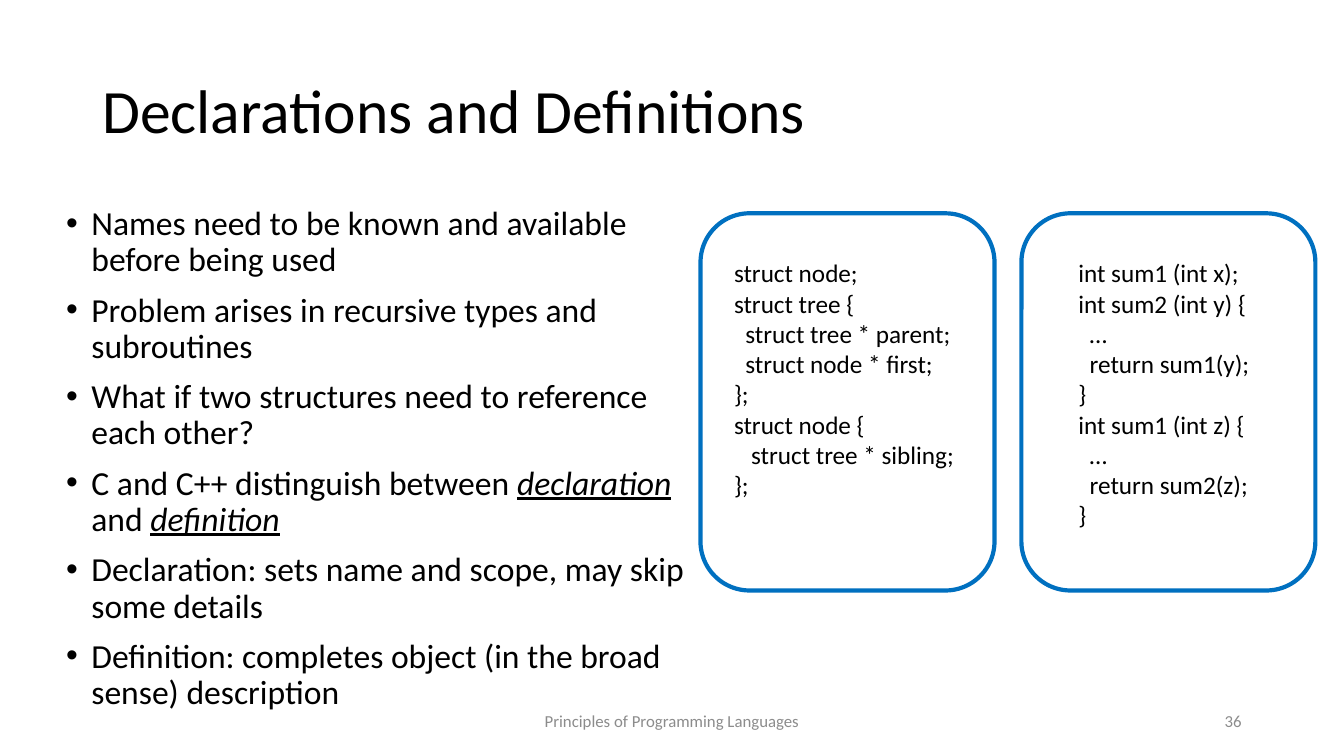
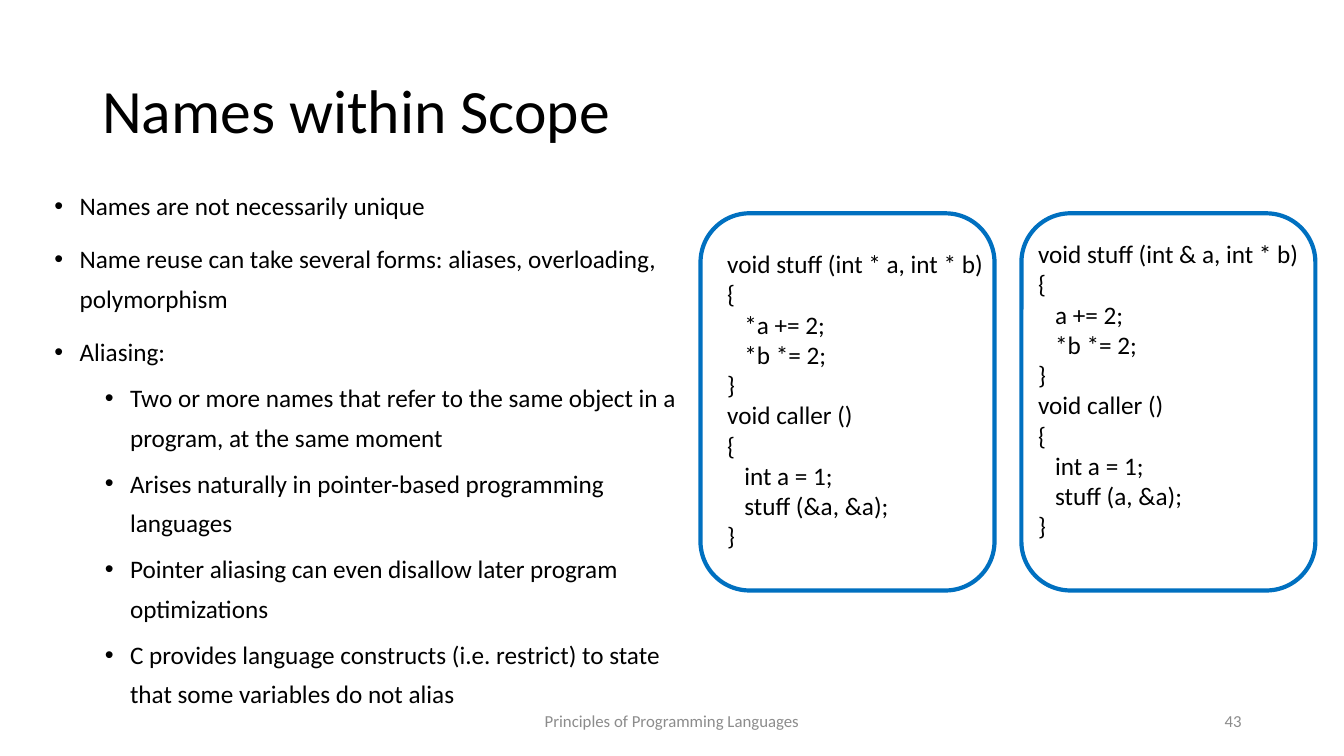
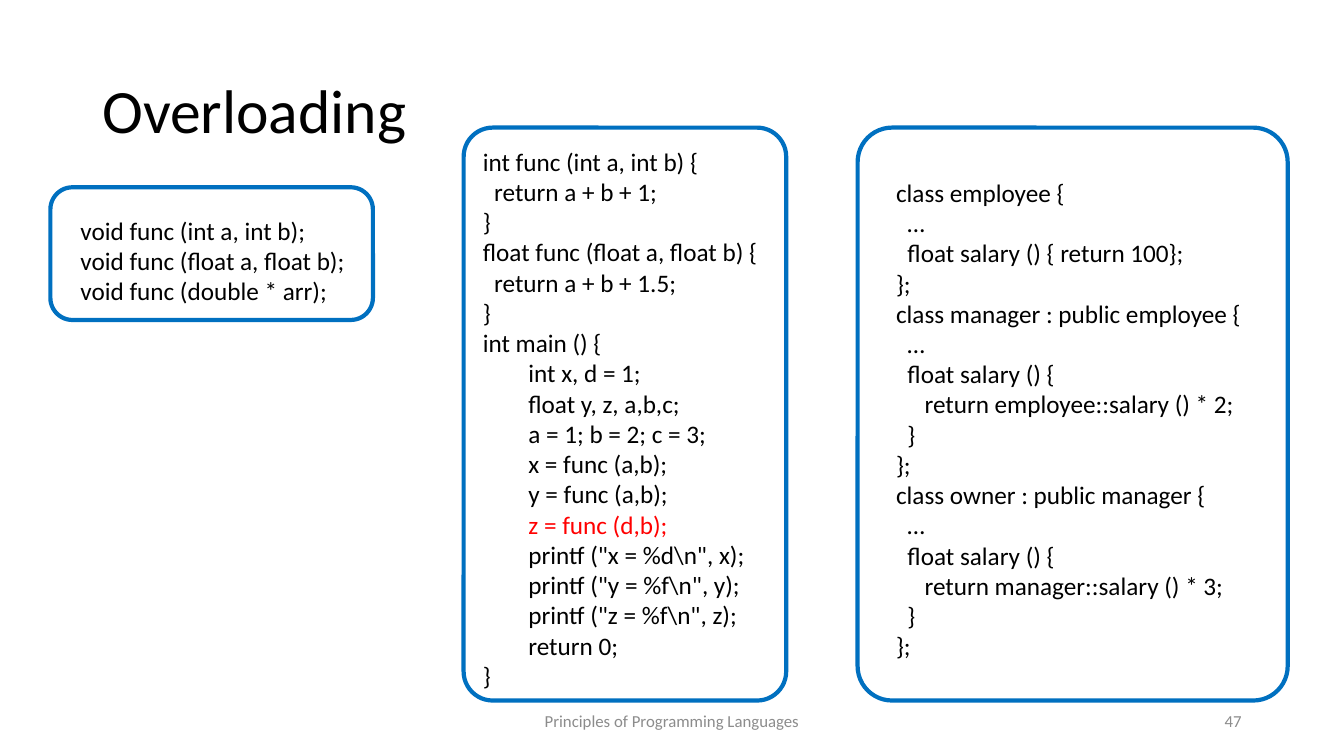
import pptx
import pptx.dml.color
import pptx.enum.shapes
import pptx.enum.text
import pptx.util
from lxml import etree

BLACK = pptx.dml.color.RGBColor(0x00, 0x00, 0x00)
BLUE = pptx.dml.color.RGBColor(0x00, 0x70, 0xC0)
RED = pptx.dml.color.RGBColor(0xFF, 0x00, 0x00)
GRAY = pptx.dml.color.RGBColor(0x8C, 0x8C, 0x8C)
FONT = "Calibri"
COURSE = "Principles of Programming Languages"

# Grid: square cells, twelve to the inch; areas are (column, row, columns, rows).
COLUMNS, ROWS = 160, 90
CELL = pptx.util.Inches(1) / 12
TITLE_AREA = (11, 4.8, 138, 17.4)
COURSE_AREA = (53, 83.4, 54, 4.8)
NUMBER_AREA = (113, 83.4, 36, 4.8)
LEFT_PANEL = (83.4, 25.4, 35, 44.9)
RIGHT_PANEL = (121.6, 25.4, 35, 44.9)

CODE_SIZE = 18
CODE_ROW = 3.63  # grid rows per line of code
CODE_PADDING = 1.2
SPACE_WIDTH = pptx.util.Pt(4.07)  # one space at the code size
BULLET_INDENT = pptx.util.Inches(0.25)
LEVEL_INDENT = pptx.util.Inches(0.5)

ALIGN = pptx.enum.text.PP_ALIGN
MIDDLE = pptx.enum.text.MSO_ANCHOR.MIDDLE

DECLARATION_BULLETS = [
    (0, "Names need to be known and available before being used"),
    (0, "Problem arises in recursive types and subroutines"),
    (0, "What if two structures need to reference each other?"),
    (0, "C and C++ distinguish between *declaration* and *definition*"),
    (0, "Declaration: sets name and scope, may skip some details"),
    (0, "Definition: completes object (in the broad sense) description"),
]
SCOPE_BULLETS = [
    (0, "Names are not necessarily unique"),
    (0, "Name reuse can take several forms: aliases, overloading, polymorphism"),
    (0, "Aliasing:"),
    (1, "Two or more names that refer to the same object in a program, "
        "at the same moment"),
    (1, "Arises naturally in pointer-based programming languages"),
    (1, "Pointer aliasing can even disallow later program optimizations"),
    (1, "C provides language constructs (i.e. restrict) to state that some "
        "variables do not alias"),
]

STRUCT_CODE = """
struct node;
struct tree {
  struct tree * parent;
  struct node * first;
};
struct node {
   struct tree * sibling;
};
"""
SUM_CODE = """
int sum1 (int x);
int sum2 (int y) {
  …
  return sum1(y);
}
int sum1 (int z) {
  …
  return sum2(z);
}
"""
ALIAS_CODE = """
void stuff (int {mark} a, int * b)
{{
   {target} += 2;
   *b *= 2;
}}
void caller ()
{{
   int a = 1;
   stuff ({argument}, &a);
}}
"""
POINTER_CODE = ALIAS_CODE.format(mark="*", target="*a", argument="&a")
REFERENCE_CODE = ALIAS_CODE.format(mark="&", target="a", argument="a")
PROTOTYPE_CODE = """
void func (int a, int b);
void func (float a, float b);
void func (double * arr);
"""
AMBIGUOUS_CALL = "z = func (d,b);"
FUNCTION_CODE = r"""
int func (int a, int b) {
  return a + b + 1;
}
float func (float a, float b) {
  return a + b + 1.5;
}
int main () {
        int x, d = 1;
        float y, z, a,b,c;
        a = 1; b = 2; c = 3;
        x = func (a,b);
        y = func (a,b);
        z = func (d,b);
        printf ("x = %d\n", x);
        printf ("y = %f\n", y);
        printf ("z = %f\n", z);
        return 0;
}
"""
CLASS_CODE = """
class employee {
  …
  float salary () { return 100};
};
class manager : public employee {
  …
  float salary () {
     return employee::salary () * 2;
  }
};
class owner : public manager {
  …
  float salary () {
     return manager::salary () * 3;
  }
};
"""


def cells(area):
    """Turn a grid area into slide lengths."""
    return [pptx.util.Emu(round(length * CELL)) for length in area]


def style(paragraph, size, color=BLACK):
    """Set the font of a whole paragraph."""
    paragraph.font.name = FONT
    paragraph.font.size = pptx.util.Pt(size)
    paragraph.font.color.rgb = color


def set_indent(paragraph, left, first=0):
    """Set a paragraph's left margin and first-line indent."""
    properties = paragraph._p.get_or_add_pPr()
    properties.set("marL", str(int(left)))
    properties.set("indent", str(int(first)))
    return properties


def add_frame(slide, area, wrap=True):
    """Add a text box and return its text frame."""
    frame = slide.shapes.add_textbox(*cells(area)).text_frame
    frame.word_wrap = wrap
    return frame


def next_paragraph(frame, index):
    """Return the first paragraph of a new frame, or append another."""
    return frame.add_paragraph() if index else frame.paragraphs[0]


def add_line(slide, area, text, size, color=BLACK, align=ALIGN.LEFT):
    """Add one vertically centred line of text."""
    frame = add_frame(slide, area)
    frame.vertical_anchor = MIDDLE
    paragraph = frame.paragraphs[0]
    paragraph.text = text
    paragraph.alignment = align
    style(paragraph, size, color)
    return paragraph


def add_bullets(slide, area, items, size, spacing):
    """Add (level, text) bullets; words between asterisks are emphasised."""
    frame = add_frame(slide, area)
    for index, (level, text) in enumerate(items):
        paragraph = next_paragraph(frame, index)
        paragraph.level = level
        properties = set_indent(
            paragraph, BULLET_INDENT + level * LEVEL_INDENT, -BULLET_INDENT)
        namespace = properties.nsmap["a"]
        etree.SubElement(properties, f"{{{namespace}}}buFont", typeface="Arial")
        etree.SubElement(properties, f"{{{namespace}}}buChar", char="•")
        paragraph.line_spacing = spacing
        paragraph.space_before = pptx.util.Pt(5 if level else 10)
        style(paragraph, size)
        for part, words in enumerate(filter(None, text.split("*"))):
            run = paragraph.add_run()
            run.text = words
            if part % 2:
                run.font.italic = run.font.underline = True


def add_panel(slide, area, rounding=None):
    """Add an unfilled rounded outline."""
    panel = slide.shapes.add_shape(
        pptx.enum.shapes.MSO_SHAPE.ROUNDED_RECTANGLE, *cells(area))
    panel.shadow.inherit = False
    panel.fill.background()
    panel.line.color.rgb = BLUE
    panel.line.width = pptx.util.Pt(3)
    if rounding is not None:
        panel.adjustments[0] = rounding


def add_code(slide, column, row, columns, code, wrap=False, highlight=None):
    """Add code, turning its leading spaces into paragraph indents."""
    lines = code.strip().splitlines()
    area = (column, row, columns, CODE_ROW * len(lines) + CODE_PADDING)
    frame = add_frame(slide, area, wrap)
    frame.auto_size = pptx.enum.text.MSO_AUTO_SIZE.SHAPE_TO_FIT_TEXT
    for index, line in enumerate(lines):
        statement = line.lstrip()
        paragraph = next_paragraph(frame, index)
        paragraph.text = statement
        set_indent(paragraph, (len(line) - len(statement)) * SPACE_WIDTH)
        style(paragraph, CODE_SIZE, RED if statement == highlight else BLACK)


def add_slide(presentation, title, number):
    """Add a blank slide with the shared title and footer."""
    slide = presentation.slides.add_slide(presentation.slide_layouts[6])
    add_line(slide, TITLE_AREA, title, 44).line_spacing = 0.9
    add_line(slide, COURSE_AREA, COURSE, 12, GRAY, ALIGN.CENTER)
    add_line(slide, NUMBER_AREA, str(number), 12, GRAY, ALIGN.RIGHT)
    return slide


def add_declarations(presentation):
    """Build the slide on declarations and definitions."""
    slide = add_slide(presentation, "Declarations and Definitions", 36)
    add_bullets(slide, (6.7, 24, 76.7, 57.1), DECLARATION_BULLETS, 24, 0.9)
    add_panel(slide, LEFT_PANEL)
    add_code(slide, 86.2, 30.1, 28.9, STRUCT_CODE)
    add_panel(slide, RIGHT_PANEL)
    add_code(slide, 127.2, 30.1, 23, SUM_CODE)


def add_scope(presentation):
    """Build the slide on names within a scope."""
    slide = add_slide(presentation, "Names within Scope", 43)
    add_bullets(slide, (5.3, 21, 78.1, 57.1), SCOPE_BULLETS, 18, 1.3)
    add_panel(slide, LEFT_PANEL)
    add_code(slide, 85.4, 29, 33.4, POINTER_CODE)
    add_panel(slide, RIGHT_PANEL)
    add_code(slide, 122.4, 27.8, 33.8, REFERENCE_CODE)


def add_overloading(presentation):
    """Build the slide on overloading."""
    slide = add_slide(presentation, "Overloading", 47)
    add_panel(slide, (6, 22.3, 38.4, 15.8))
    add_code(slide, 8.4, 25, 36.8, PROTOTYPE_CODE, wrap=True)
    add_panel(slide, (55.2, 15.2, 38.4, 68.2), 0.09)
    add_code(slide, 56.3, 16.8, 36, FUNCTION_CODE, highlight=AMBIGUOUS_CALL)
    add_panel(slide, (102.1, 15.2, 51.2, 68.2), 0.08)
    add_code(slide, 105.5, 20.5, 44.6, CLASS_CODE, wrap=True)


def main():
    """Build and save the presentation."""
    presentation = pptx.Presentation()
    presentation.slide_width = round(COLUMNS * CELL)
    presentation.slide_height = round(ROWS * CELL)
    add_declarations(presentation)
    add_scope(presentation)
    add_overloading(presentation)
    presentation.save("out.pptx")


main()
